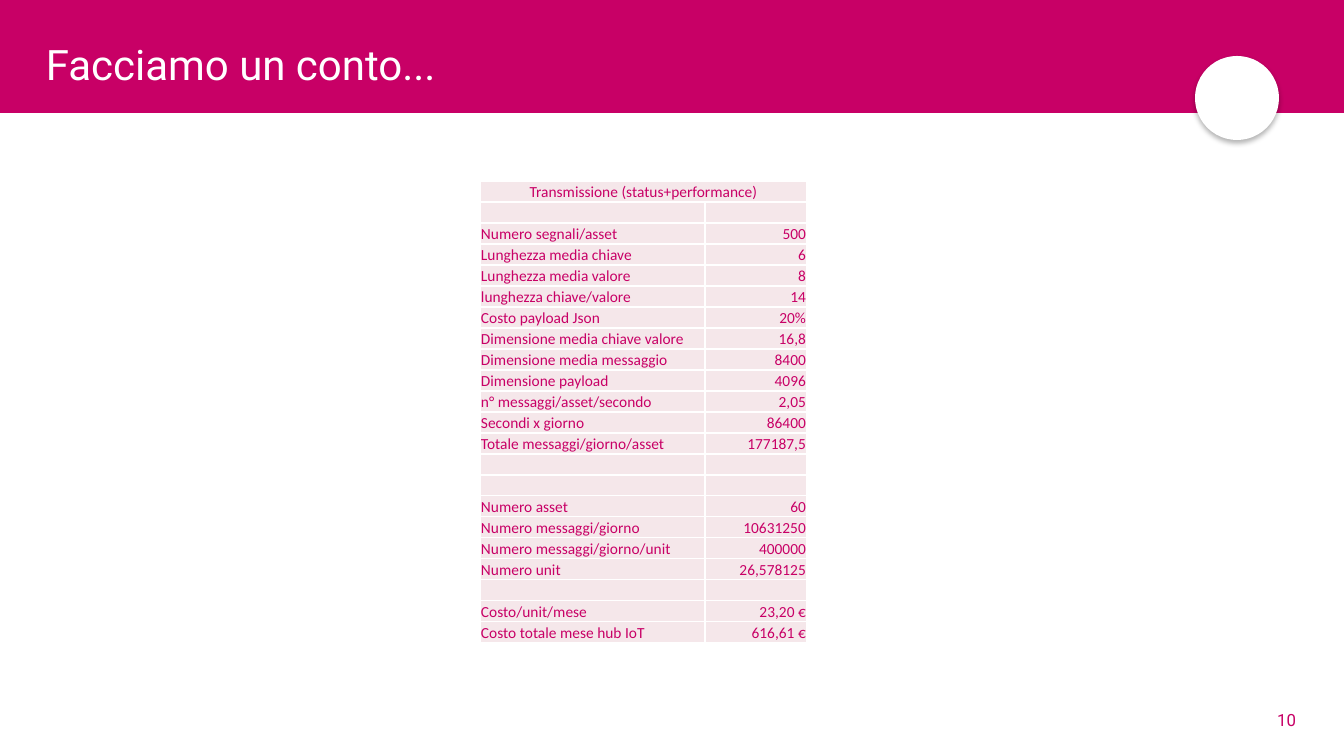
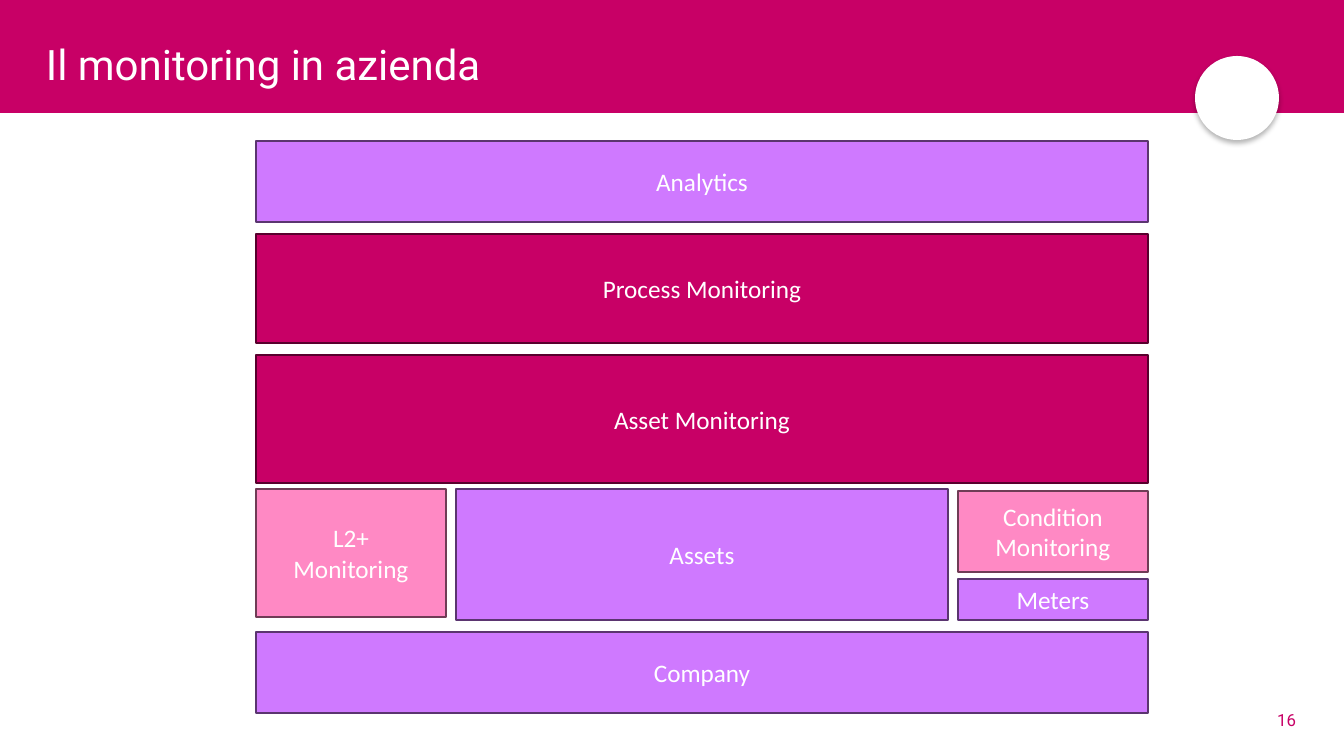
from lxml.etree import SubElement as Sub
from pptx import Presentation
from pptx.dml.color import RGBColor
from pptx.enum.shapes import MSO_SHAPE as Shape
from pptx.enum.text import MSO_ANCHOR as Anchor, PP_ALIGN as Align
from pptx.oxml.ns import qn
from pptx.util import Pt

WIDE, HIGH = 1344, 756
SCALE = 12192000 / WIDE
HUES = {
    "brand": "C80066", "white": "FFFFFF", "cell": "F5E7EA", "shade": "000000",
    "pink": "FF89C4", "violet": "CF79FF",
}
EDGES = {"brand": "58002D", "pink": "703C56", "violet": "5B3570"}
HEAD, BODY = "Roboto", "Calibri"

COSTS = [
    ("Transmissione (status+performance)", ""),
    ("", ""),
    ("Numero segnali/asset", "500"),
    ("Lunghezza media chiave", "6"),
    ("Lunghezza media valore", "8"),
    ("lunghezza chiave/valore", "14"),
    ("Costo payload Json", "20%"),
    ("Dimensione media chiave valore", "16,8"),
    ("Dimensione media messaggio", "8400"),
    ("Dimensione payload", "4096"),
    ("n° messaggi/asset/secondo", "2,05"),
    ("Secondi x giorno", "86400"),
    ("Totale messaggi/giorno/asset", "177187,5"),
    ("", ""),
    ("", ""),
    ("Numero asset", "60"),
    ("Numero messaggi/giorno", "10631250"),
    ("Numero messaggi/giorno/unit", "400000"),
    ("Numero unit", "26,578125"),
    ("", ""),
    ("Costo/unit/mese", "23,20 €"),
    ("Costo totale mese hub IoT", "616,61 €"),
]


def px(n):
    return round(n * SCALE)


def rgb(name):
    return RGBColor.from_string(HUES.get(name, name))


def write(para, text, size, face, hue, align=Align.LEFT):
    para.alignment = align
    for i, line in enumerate(text.split("\n")):
        if i:
            para.add_line_break()
        run = para.add_run()
        run.text = line
        run.font.size = Pt(size)
        run.font.name = face
        run.font.color.rgb = rgb(hue)


def label(slide, box, text, size, align=Align.LEFT, hue="white"):
    frame = slide.shapes.add_textbox(*map(px, box)).text_frame
    frame.word_wrap = True
    frame.vertical_anchor = Anchor.MIDDLE
    para = frame.paragraphs[0]
    write(para, text, size, HEAD, hue, align)
    return para


def block(slide, kind, box, hue, edge=None):
    shape = slide.shapes.add_shape(kind, *map(px, box))
    shape.shadow.inherit = False
    shape.fill.solid()
    shape.fill.fore_color.rgb = rgb(hue)
    if edge:
        shape.line.color.rgb = rgb(edge)
        shape.line.width = Pt(1)
    else:
        shape.line.fill.background()
    return shape


def badge(slide, box):
    disc = block(slide, Shape.OVAL, box, "white")
    glow = disc.element.spPr.find(qn("a:effectLst"))
    cast = Sub(glow, qn("a:outerShdw"), blurRad=str(Pt(4)), dist=str(Pt(2)),
               dir="5400000", algn="t", rotWithShape="0")
    tint = Sub(cast, qn("a:srgbClr"), val=HUES["shade"])
    Sub(tint, qn("a:alpha"), val="30000")


def base(deck, title, page):
    slide = deck.slides.add_slide(deck.slide_layouts[6])
    block(slide, Shape.RECTANGLE, (0, 0, WIDE, 113), "brand")
    badge(slide, (1195, 56, 84, 84))
    label(slide, (1245, 700, 61, 40), page, 12, Align.RIGHT, "brand")
    label(slide, (36, 25, 1216, 84), title, 30).line_spacing = 0.9
    return slide


def style(cell):
    cell.margin_left = cell.margin_right = cell.margin_top = px(1)
    cell.margin_bottom = 0
    cell.vertical_anchor = Anchor.BOTTOM
    props = cell._tc.get_or_add_tcPr()
    for side in ("lnL", "lnR", "lnT", "lnB"):
        line = Sub(props, qn("a:" + side), w=str(Pt(1)))
        Sub(Sub(line, qn("a:solidFill")), qn("a:srgbClr"), val=HUES["white"])
    cell.fill.solid()
    cell.fill.fore_color.rgb = rgb("cell")


def costs(slide, left, top, cols, step):
    count = len(COSTS)
    box = (left, top, sum(cols), step * count)
    table = slide.shapes.add_table(count, len(cols), *map(px, box)).table
    table.first_row = table.horz_banding = False
    for col, wide in zip(table.columns, cols):
        col.width = px(wide)
    for r, row in enumerate(COSTS):
        table.rows[r].height = px(step)
        for c, text in enumerate(row):
            cell = table.cell(r, c)
            style(cell)
            para = cell.text_frame.paragraphs[0]
            if text:
                align = Align.RIGHT if c else Align.LEFT
                write(para, text, 11, BODY, "brand", align)
            else:
                Sub(para._p, qn("a:endParaRPr"), sz="1100")
    first = table.cell(0, 0)
    first.merge(table.cell(0, 1))
    first.text_frame.paragraphs[0].alignment = Align.CENTER


def tile(slide, box, hue, text):
    shape = block(slide, Shape.RECTANGLE, box, hue, EDGES[hue])
    frame = shape.text_frame
    frame.word_wrap = True
    frame.vertical_anchor = Anchor.MIDDLE
    write(frame.paragraphs[0], text, 18, BODY, "white", Align.CENTER)


def plant(slide, left, top, wide, high):
    side, gap = 190, 10
    mid = wide - 2 * (side + gap)
    right = left + wide - side
    small, low = 81, 41
    tile(slide, (left, top, side, high - 3), "pink", "L2+\nMonitoring")
    tile(slide, (left + side + gap, top, mid, high), "violet", "Assets")
    tile(slide, (right, top + 2, side, small), "pink", "Condition Monitoring")
    tile(slide, (right, top + high - low, side, low), "violet", "Meters")


def stack(slide, left, top, wide):
    gap = 12
    for text, hue, high in (
        ("Analytics", "violet", 81),
        ("Process Monitoring", "brand", 109),
        ("Asset Monitoring", "brand", 128),
    ):
        tile(slide, (left, top, wide, high), hue, text)
        top += high + gap
    top -= gap // 2
    plant(slide, left, top, wide, 131)
    tile(slide, (left, top + 131 + gap, wide, 81), "violet", "Company")


def main():
    deck = Presentation()
    deck.slide_width, deck.slide_height = px(WIDE), px(HIGH)
    costs(base(deck, "Facciamo un conto...", "10"), 480, 181, (225, 102), 21)
    stack(base(deck, "Il monitoring in azienda", "16"), 256, 141, 892)
    deck.save("out.pptx")


if __name__ == "__main__":
    main()
